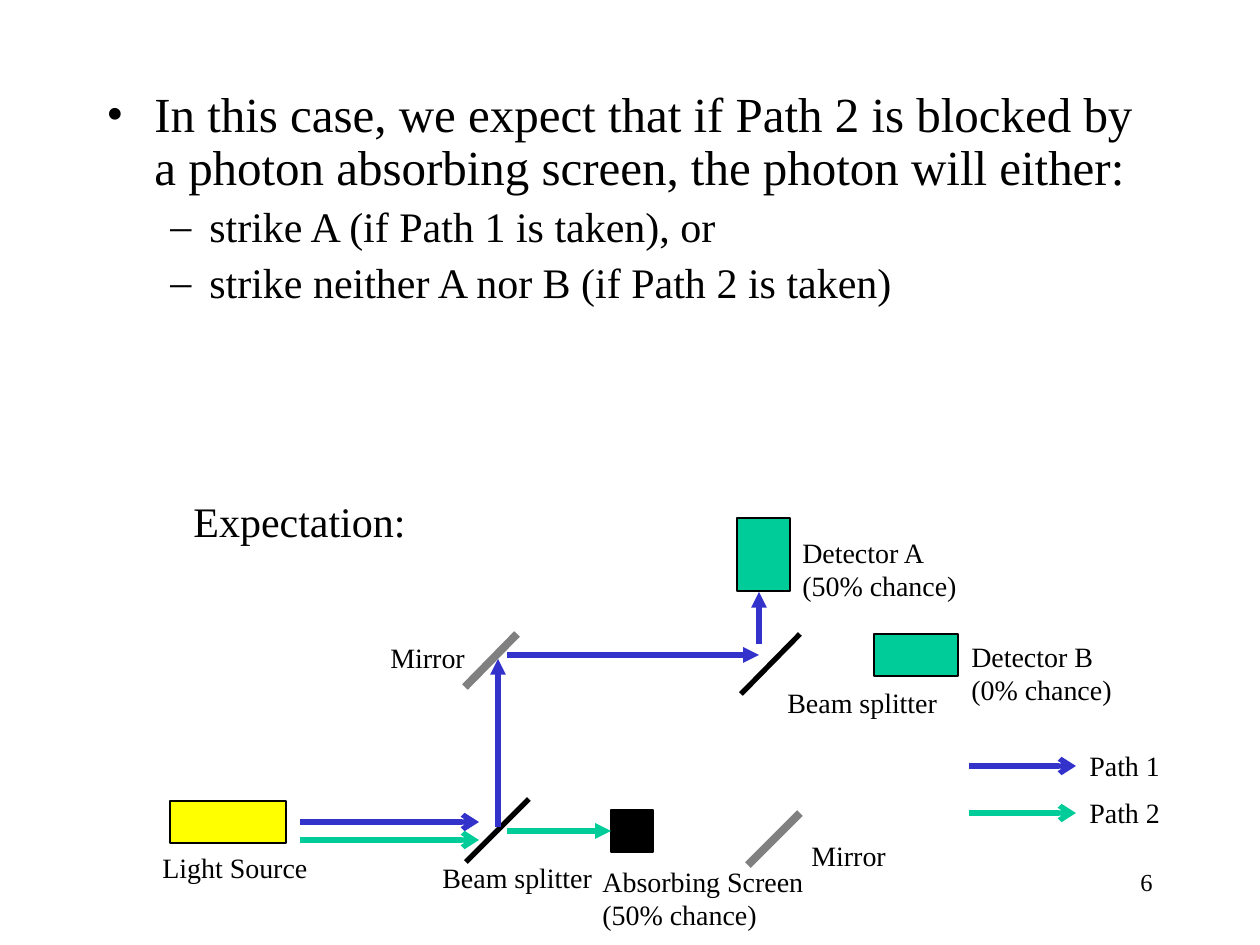
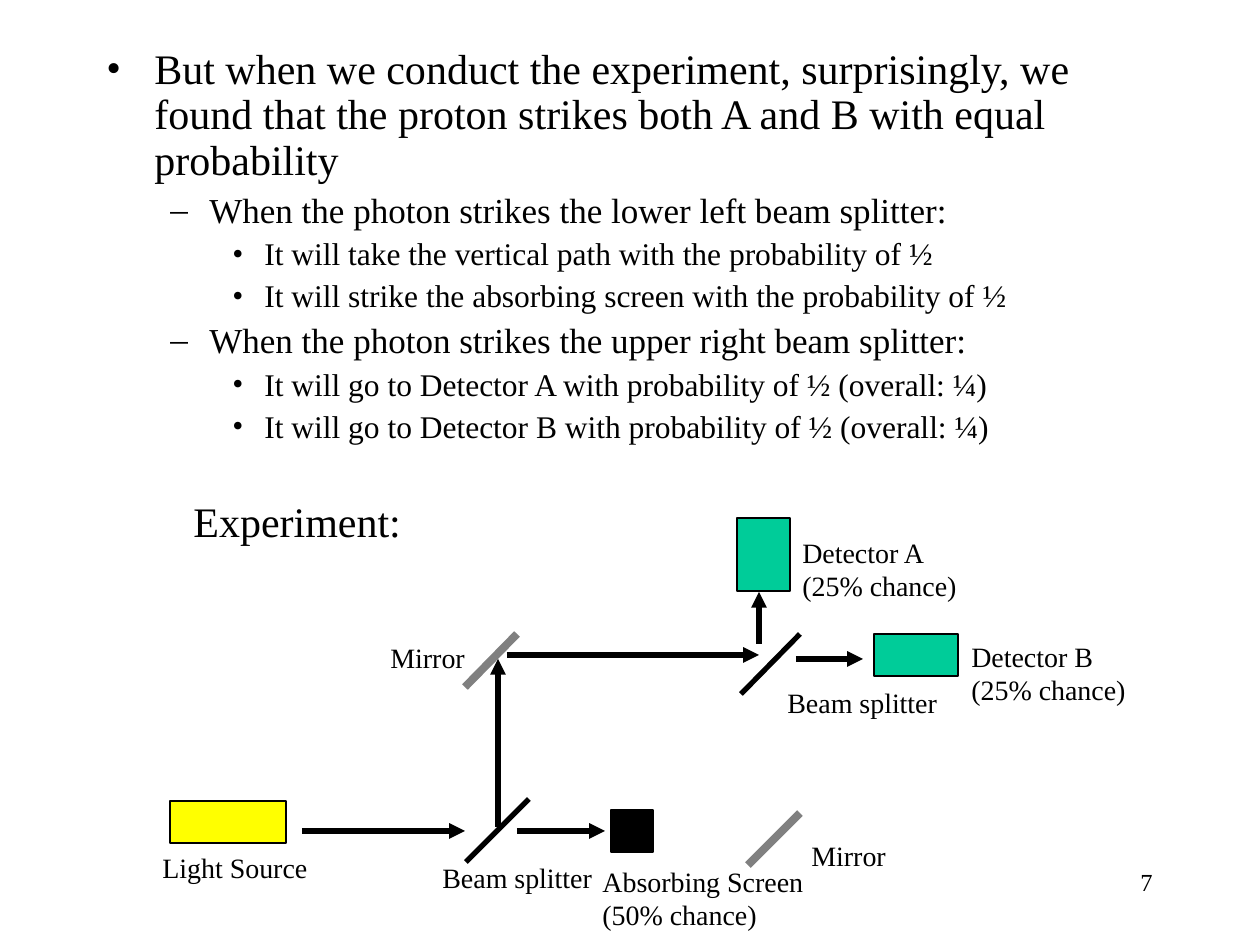
from lxml.etree import SubElement
from pptx import Presentation
from pptx.dml.color import RGBColor as RGB
from pptx.enum.shapes import MSO_CONNECTOR as CONN, MSO_SHAPE as SHAPE
from pptx.enum.text import MSO_AUTO_SIZE as FIT, PP_ALIGN as ALIGN
from pptx.oxml.ns import qn
from pptx.util import Emu, Pt


class Theme:
    font = "Times New Roman"
    black = RGB(0x00, 0x00, 0x00)
    gray = RGB(0x80, 0x80, 0x80)
    blue = RGB(0x33, 0x33, 0xCC)
    green = RGB(0x00, 0xCC, 0x99)
    yellow = RGB(0xFF, 0xFF, 0x00)
    heading, label, number = 24, 16, 14
    outline, ray, mirror = 0.75, 3, 4.5
    # Bullet, text indent and hanging indent in px for each level
    levels = [("•", 48, 48), ("–", 103, 39), ("•", 158, 32)]


def px(n):
    return Emu(round(n * 914400 / 126))


def add_text(s, box, lines, wrap=False, align=ALIGN.LEFT):
    """Lines are (text, size, level); level None means no bullet."""
    tf = s.shapes.add_textbox(*map(px, box)).text_frame
    tf.word_wrap = wrap
    tf.auto_size = FIT.NONE if wrap else FIT.SHAPE_TO_FIT_TEXT
    for i, (text, size, level) in enumerate(lines):
        p = tf.add_paragraph() if i else tf.paragraphs[0]
        p.alignment = align
        if level is not None:
            char, left, hang = Theme.levels[level]
            pPr = p._p.get_or_add_pPr()
            pPr.set("marL", str(px(left)))
            pPr.set("indent", str(px(-hang)))
            SubElement(pPr, qn("a:buFont"), typeface=Theme.font)
            SubElement(pPr, qn("a:buChar"), char=char)
            p.level = level
            p.line_spacing = 0.9
            p.space_before = Pt(size / 4 if i else 0)
        r = p.add_run()
        r.text = text
        r.font.name, r.font.size = Theme.font, Pt(size)
        r.font.color.rgb = Theme.black


def add_line(s, ends, color, width=Theme.ray, head=None):
    c = s.shapes.add_connector(CONN.STRAIGHT, *map(px, ends))
    c.line.color.rgb, c.line.width = color, Pt(width)
    if head:
        SubElement(c.line._get_or_add_ln(), qn("a:tailEnd"), type=head)
    SubElement(c._element.spPr, qn("a:effectLst"))
    return c


prs = Presentation()
prs.slide_width, prs.slide_height = px(1260), px(945)

# What differs between the two slides
slides = [
    dict(number="6", heading="Expectation:", body_top=84, body_height=378,
         path=Theme.blue, chance_a="(50% chance)", chance_b="(0% chance)",
         body=[
             ("In this case, we expect that if Path 2 is blocked by a photon "
              "absorbing screen, the photon will either:", 28, 0),
             ("strike A (if Path 1 is taken), or", 24, 1),
             ("strike neither A nor B (if Path 2 is taken)", 24, 1)],
         rays=[
             ((300, 822, 479, 822), Theme.blue, "arrow"),
             ((300, 840, 479, 840), Theme.green, "arrow"),
             ((969, 766, 1076, 766), Theme.blue, "arrow"),
             ((969, 813, 1076, 813), Theme.green, "arrow")],
         legend=[((1077, 742, 100, 47), ["Path 1"]),
                 ((1077, 789, 100, 47), ["Path 2"])],
         to_screen=((507, 831, 611, 831), Theme.green)),
    dict(number="7", heading="Experiment:", body_top=42, body_height=514,
         path=Theme.black, chance_a="(25% chance)", chance_b="(25% chance)",
         body=[
             ("But when we conduct the experiment, surprisingly, we found that "
              "the proton strikes both A and B with equal probability", 24, 0),
             ("When the photon strikes the lower left beam splitter:", 20, 1),
             ("It will take the vertical path with the probability of ½", 18, 2),
             ("It will strike the absorbing screen with the probability of ½", 18, 2),
             ("When the photon strikes the upper right beam splitter:", 20, 1),
             ("It will go to Detector A with probability of ½ (overall: ¼)", 18, 2),
             ("It will go to Detector B with probability of ½ (overall: ¼)", 18, 2)],
         rays=[
             ((302, 831, 465, 831), Theme.black, "triangle"),
             ((796, 659, 863, 659), Theme.black, "triangle")],
         legend=[],
         to_screen=((517, 831, 605, 831), Theme.black)),
]

# Apparatus shared by both slides
blocks = [
    ((170, 801, 116, 42), Theme.yellow),  # light source
    ((737, 518, 53, 73), Theme.green),  # detector A
    ((874, 634, 84, 42), Theme.green),  # detector B
    ((611, 810, 42, 42), Theme.black),  # absorbing screen
]
path_1 = [(498, 827, 498, 659), (507, 655, 759, 655), (759, 644, 759, 592)]
mirrors = [(517, 634, 465, 687), (800, 813, 748, 865)]
splitters = [(466, 862, 529, 799), (800, 634, 741, 694)]
labels = [
    ((150, 844, 174, 47), ["Light Source"]),
    ((378, 634, 104, 47), ["Mirror"]),
    ((799, 832, 104, 47), ["Mirror"]),
    ((430, 854, 180, 47), ["Beam splitter"]),
    ((775, 679, 180, 47), ["Beam splitter"]),
    ((590, 858, 230, 81), ["Absorbing Screen", "(50% chance)"]),
]

for d in slides:
    s = prs.slides.add_slide(prs.slide_layouts[6])

    # Slide number, body and diagram heading
    add_text(s, (903, 861, 262, 63), [(d["number"], Theme.number, None)],
             wrap=True, align=ALIGN.RIGHT)
    add_text(s, (94, d["body_top"], 1071, d["body_height"]), d["body"], wrap=True)
    add_text(s, (181, 489, 245, 63), [(d["heading"], Theme.heading, None)])

    # Source, detectors and screen
    for box, color in blocks:
        sp = s.shapes.add_shape(SHAPE.RECTANGLE, *map(px, box))
        sp.shadow.inherit = False
        sp.fill.solid()
        sp.fill.fore_color.rgb = color
        sp.line.color.rgb, sp.line.width = Theme.black, Pt(Theme.outline)
    screen = sp

    # Mirrors and beam splitters
    for ends in mirrors:
        add_line(s, ends, Theme.gray, Theme.mirror)
    for ends in splitters:
        add_line(s, ends, Theme.black)

    # Photon paths
    for ends in path_1:
        add_line(s, ends, d["path"], head="triangle")
    for ends, color, head in d["rays"]:
        add_line(s, ends, color, head=head)
    ends, color = d["to_screen"]
    ray = add_line(s, ends, color, head="triangle")
    if ends[2] == blocks[-1][0][0]:
        ray.end_connect(screen, 1)

    # Labels
    detectors = [((790, 529, 190, 81), ["Detector A", d["chance_a"]]),
                 ((959, 633, 190, 81), ["Detector B", d["chance_b"]])]
    for box, lines in labels + detectors + d["legend"]:
        add_text(s, box, [(text, Theme.label, None) for text in lines])

prs.save("out.pptx")
